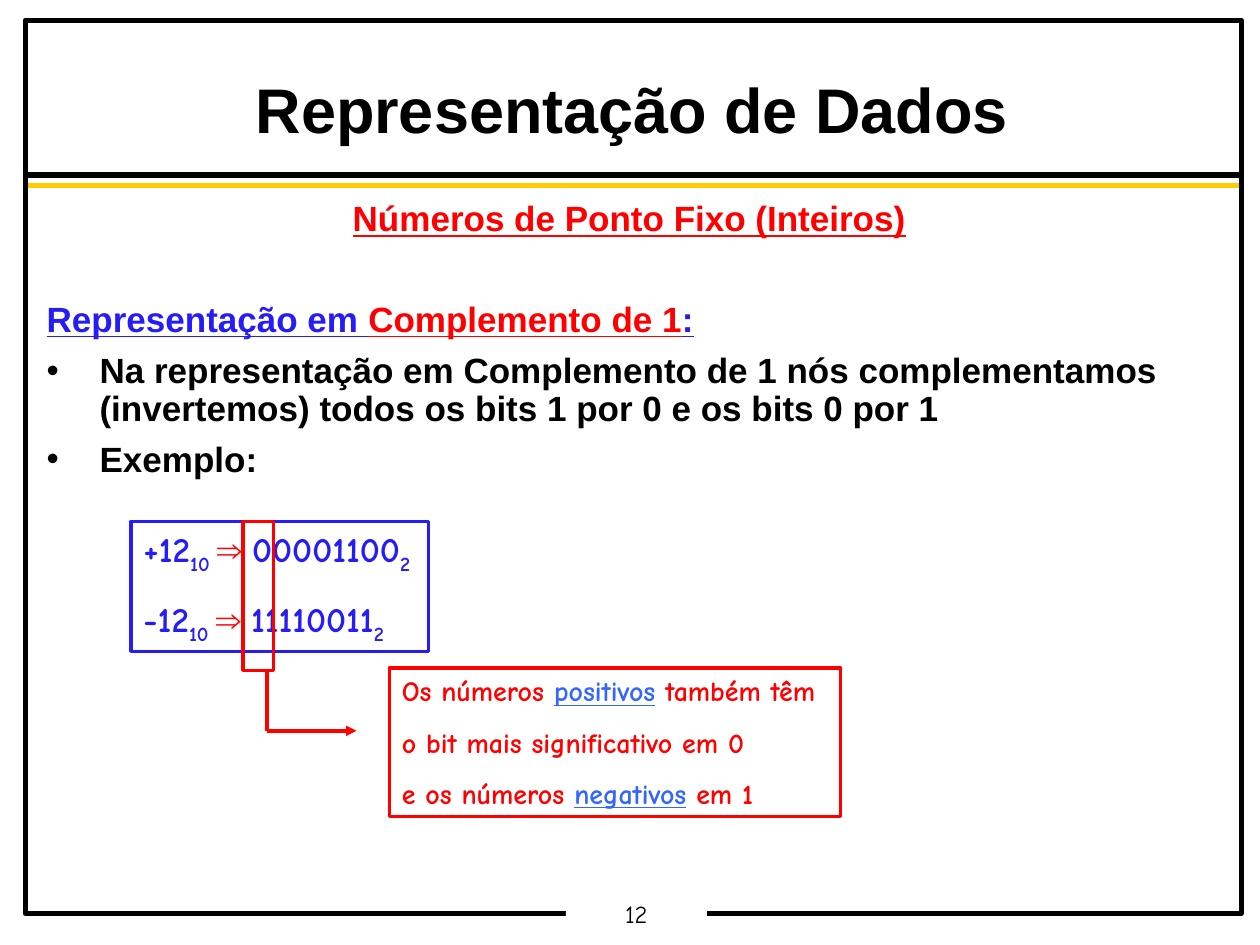
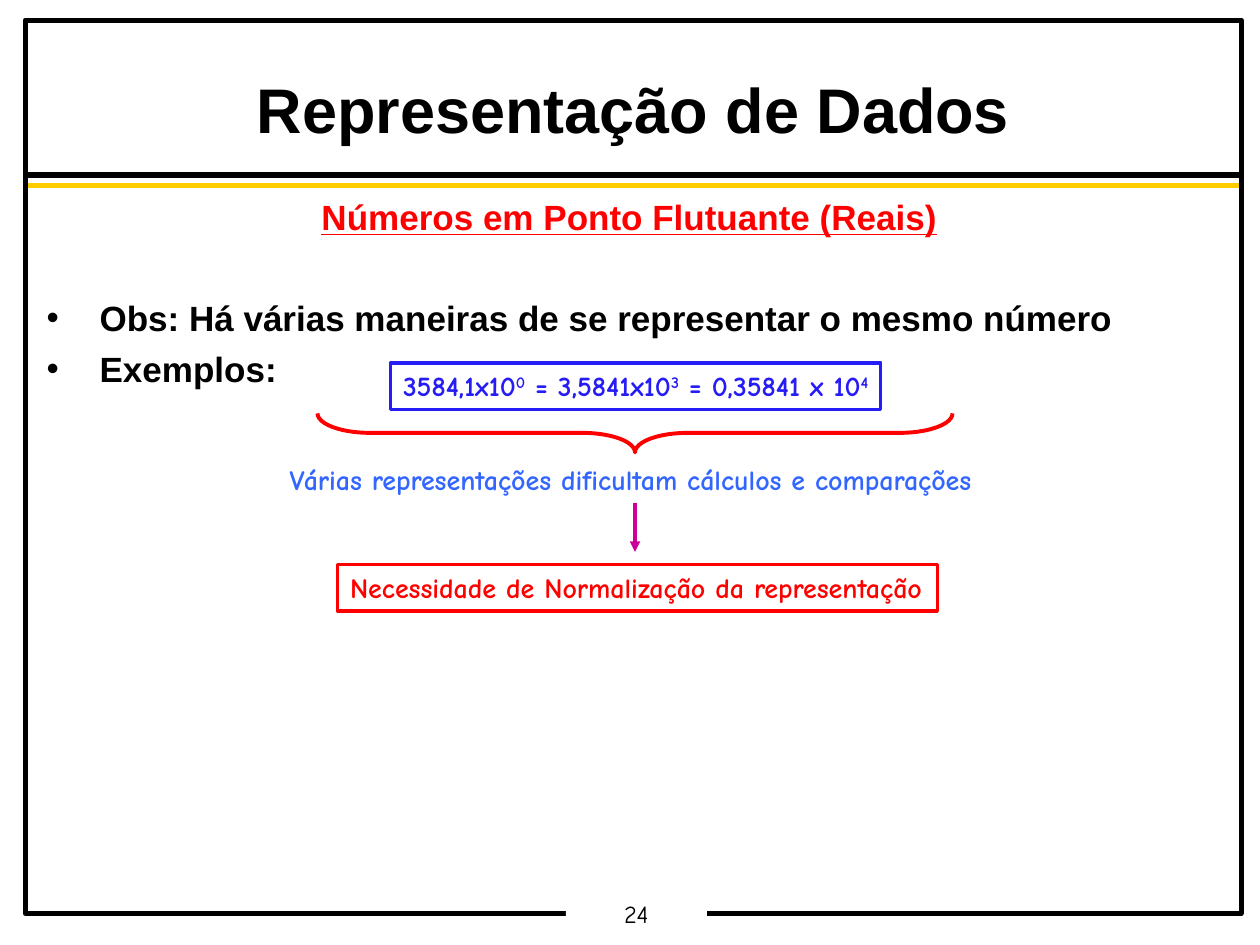
import pptx
import pptx.util
import pptx.dml.color
import pptx.enum.shapes
import pptx.enum.text
import pptx.oxml.ns
from lxml import etree

Pt = pptx.util.Pt
RGBColor = pptx.dml.color.RGBColor
MSO_SHAPE = pptx.enum.shapes.MSO_SHAPE
ALIGN = pptx.enum.text.PP_ALIGN
ANCHOR = pptx.enum.text.MSO_ANCHOR
AUTO = pptx.enum.text.MSO_AUTO_SIZE
qn = pptx.oxml.ns.qn

BLACK = RGBColor(0x00, 0x00, 0x00)
WHITE = RGBColor(0xFF, 0xFF, 0xFF)
GOLD = RGBColor(0xFF, 0xCC, 0x00)
RED = RGBColor(0xFF, 0x00, 0x00)
INDIGO = RGBColor(0x26, 0x1C, 0xF6)
BLUE = RGBColor(0x33, 0x66, 0xFF)
MAGENTA = RGBColor(0xCC, 0x00, 0x99)

TITLE = dict(name="Arial", size=Pt(36), bold=True, color=BLACK)
BODY = dict(name="Arial", size=Pt(20), bold=True, color=BLACK)
HEADING = BODY | dict(color=RED, underline=True)
LABEL = dict(name="Comic Neue", size=Pt(16), bold=True, color=RED)
NUMBER = dict(name="Comic Neue", size=Pt(14), bold=False, color=BLACK)
EMPHASIS = LABEL | dict(color=BLUE, underline=True)
POWER = LABEL | dict(color=INDIGO)
BITS = POWER | dict(size=Pt(20))
IMPLIES = BITS | dict(name="Arial", color=RED)

FRAME = (14.4, 11.52, 694.8, 510.48)
INDENT = 30.24
BLANK_LINE = 28.5


def set_all(obj, values):
    for key, value in values.items():
        setattr(obj, key, value)


def add_runs(p, runs):
    for text, fmt, *shift in runs:
        r = p.add_run()
        r.text = text
        set_all(r.font, {k: v for k, v in fmt.items() if k != "color"})
        r.font.color.rgb = fmt["color"]
        if shift:
            r._r.get_or_add_rPr().set("baseline", str(shift[0] * 1000))


def paragraphs(tf, count):
    return [tf.paragraphs[0]] + [tf.add_paragraph() for _ in range(count - 1)]


def set_margins(tf, x, y):
    set_all(tf, dict(margin_left=Pt(x), margin_right=Pt(x),
                     margin_top=Pt(y), margin_bottom=Pt(y)))


def place(sp, box):
    set_all(sp, dict(zip(("left", "top", "width", "height"), map(Pt, box))))


def add_outline(s, kind, box, color, width=2, fill=None):
    sp = s.shapes.add_shape(kind, *map(Pt, box))
    sp.shadow.inherit = False
    if fill is None:
        sp.fill.background()
    else:
        sp.fill.solid()
        sp.fill.fore_color.rgb = fill
    if color is None:
        sp.line.fill.background()
    else:
        sp.line.color.rgb = color
        sp.line.width = Pt(width)
    return sp


def add_line(s, x1, y1, x2, y2, color, width=2, arrow=False):
    c = s.shapes.add_connector(pptx.enum.shapes.MSO_CONNECTOR.STRAIGHT,
                               Pt(x1), Pt(y1), Pt(x2), Pt(y2))
    c.line.color.rgb = color
    c.line.width = Pt(width)
    if arrow:
        etree.SubElement(c.line._get_or_add_ln(), qn("a:tailEnd"), type="triangle")
    etree.SubElement(c._element.spPr, qn("a:effectLst"))


def add_label(s, box, lines, color=None, gap=10):
    if color is None:
        sp = s.shapes.add_textbox(*map(Pt, box))
    else:
        sp = add_outline(s, MSO_SHAPE.RECTANGLE, box, color)
    tf = sp.text_frame
    set_all(tf, dict(word_wrap=False, auto_size=AUTO.SHAPE_TO_FIT_TEXT,
                     vertical_anchor=ANCHOR.TOP))
    set_margins(tf, 7.2, 3.6)
    for i, (p, runs) in enumerate(zip(paragraphs(tf, len(lines)), lines)):
        p.alignment = ALIGN.LEFT
        p.space_before = Pt(gap if i else 0)
        add_runs(p, runs)


def add_frame(s, box, number):
    x, y, w, h = box
    for rule_y, color in ((88.56, BLACK), (94.32, GOLD)):
        add_line(s, x, y + rule_y, x + w - 0.72, y + rule_y, color, 3)
    add_outline(s, MSO_SHAPE.RECTANGLE, box, BLACK, 2.83)
    sp = add_outline(s, MSO_SHAPE.RECTANGLE, (x + 308.88, y + h - 8.64, 80.64, 19.44),
                     None, fill=WHITE)
    tf = sp.text_frame
    set_margins(tf, 5, 2)
    p = tf.paragraphs[0]
    set_all(p, dict(alignment=ALIGN.CENTER, line_spacing=0.9))
    add_runs(p, [(str(number), NUMBER)])


def add_title(s, box):
    sp = s.shapes.title
    place(sp, box)
    tf = sp.text_frame
    set_all(tf, dict(auto_size=AUTO.NONE, vertical_anchor=ANCHOR.MIDDLE))
    set_margins(tf, 5, 2)
    p = tf.paragraphs[0]
    set_all(p, dict(alignment=ALIGN.CENTER, line_spacing=0.95))
    add_runs(p, [("Representação de Dados", TITLE)])


def add_body(s, box, heading, items):
    sp = s.placeholders[1]
    place(sp, box)
    tf = sp.text_frame
    set_all(tf, dict(auto_size=AUTO.NONE, vertical_anchor=ANCHOR.TOP))
    set_margins(tf, 7.2, 3.6)
    rows = [[(heading, HEADING)]] + items
    for i, (p, row) in enumerate(zip(paragraphs(tf, len(rows)), rows)):
        pPr = p._p.get_or_add_pPr()
        pPr.set("marL", str(Pt(INDENT)))
        pPr.set("indent", str(-Pt(INDENT)))
        if isinstance(row, str):
            etree.SubElement(pPr, qn("a:buFont"), typeface="Arial")
            etree.SubElement(pPr, qn("a:buChar"), char="•")
            row = [(row, BODY)]
        else:
            etree.SubElement(pPr, qn("a:buNone"))
        set_all(p, dict(alignment=ALIGN.LEFT if i else ALIGN.CENTER, line_spacing=0.9,
                        space_before=Pt((0, 7.5 + BLANK_LINE)[i] if i < 2 else 7.5)))
        add_runs(p, row)


def add_sign_example(s, box):
    x, y, w, h = box
    values = (("+12", "00001100"), ("-12", "11110011"))
    add_label(s, (x, y, 169.92, 74.16),
              [[(decimal, BITS), ("10 ", BITS, -25), ("⇒ ", IMPLIES),
                (binary, BITS), ("2", BITS, -25)] for decimal, binary in values],
              INDIGO, 12.5)
    add_outline(s, MSO_SHAPE.RECTANGLE, (x + 64.08, y, 17.28, 84.96), RED)
    elbow_x, elbow_y = x + 77.76, y + 119.52
    add_line(s, elbow_x, y + 85.68, elbow_x, elbow_y, RED)
    add_line(s, elbow_x, elbow_y, x + 128.88, elbow_y, RED, arrow=True)
    add_label(s, (x + w - 257.76, y + h - 84.96, 257.76, 84.96), [
        [("Os números ", LABEL), ("positivos", EMPHASIS), (" também têm", LABEL)],
        [("o bit mais significativo em 0", LABEL)],
        [("e os números ", LABEL), ("negativos", EMPHASIS), (" em 1", LABEL)],
    ], RED)


def add_normalization(s, box):
    x, y, w, h = box
    label_h = 26.64
    powers = (("3584,1x10", "0"), (" = 3,5841x10", "3"), (" = 0,35841 x 10", "4"))
    add_label(s, (x + 64.8, y, 280.08, label_h),
              [[run for base, exponent in powers
                for run in ((base, POWER), (exponent, POWER, 30))]], INDIGO)
    mid, brace_w, brace_h = x + 204.48, 362.88, 22.32
    brace_mid = y + 39.96
    sp = add_outline(s, MSO_SHAPE.LEFT_BRACE,
                     (mid - brace_h / 2, brace_mid - brace_w / 2, brace_h, brace_w),
                     RED, 2.25)
    sp.rotation = 270
    sp.adjustments[0] = 1.35
    add_label(s, (x, y + 53.28, w, label_h),
              [[("Várias representações dificultam cálculos e comparações",
                 LABEL | dict(color=BLUE))]])
    add_line(s, mid, y + 79.92, mid, y + 108, MAGENTA, arrow=True)
    add_label(s, (x + 34.56, y + h - label_h, 342.72, label_h),
              [[("Necessidade de Normalização da representação", LABEL)]], RED)


def add_slide(prs, number, title_box, body_box, heading, items):
    s = prs.slides.add_slide(prs.slide_layouts[1])
    add_frame(s, FRAME, number)
    add_title(s, title_box)
    add_body(s, body_box, heading, items)
    return s


def main():
    prs = pptx.Presentation()
    prs.slide_width, prs.slide_height = Pt(720), Pt(540)

    blue_heading = HEADING | dict(color=INDIGO)
    s = add_slide(prs, 12, (28.08, 41.04, 666, 45.36), (19.44, 111.6, 680.4, 369.36),
                  "Números de Ponto Fixo (Inteiros)", [
        [("Representação em ", blue_heading), ("Complemento de 1", HEADING),
         (":", blue_heading)],
        "Na representação em Complemento de 1 nós complementamos (invertemos) "
        "todos os bits 1 por 0 e os bits 0 por 1",
        "Exemplo:",
    ])
    add_sign_example(s, (74.88, 298.08, 405.36, 168.48))

    s = add_slide(prs, 24, (14.4, 41.04, 694.8, 45.36), (19.44, 110.88, 680.4, 396.72),
                  "Números em Ponto Flutuante (Reais)", [
        "Obs: Há várias maneiras de se representar o mesmo número",
        "Exemplos:",
    ])
    add_normalization(s, (158.4, 207.36, 406.8, 141.84))

    prs.save("out.pptx")


if __name__ == "__main__":
    main()
